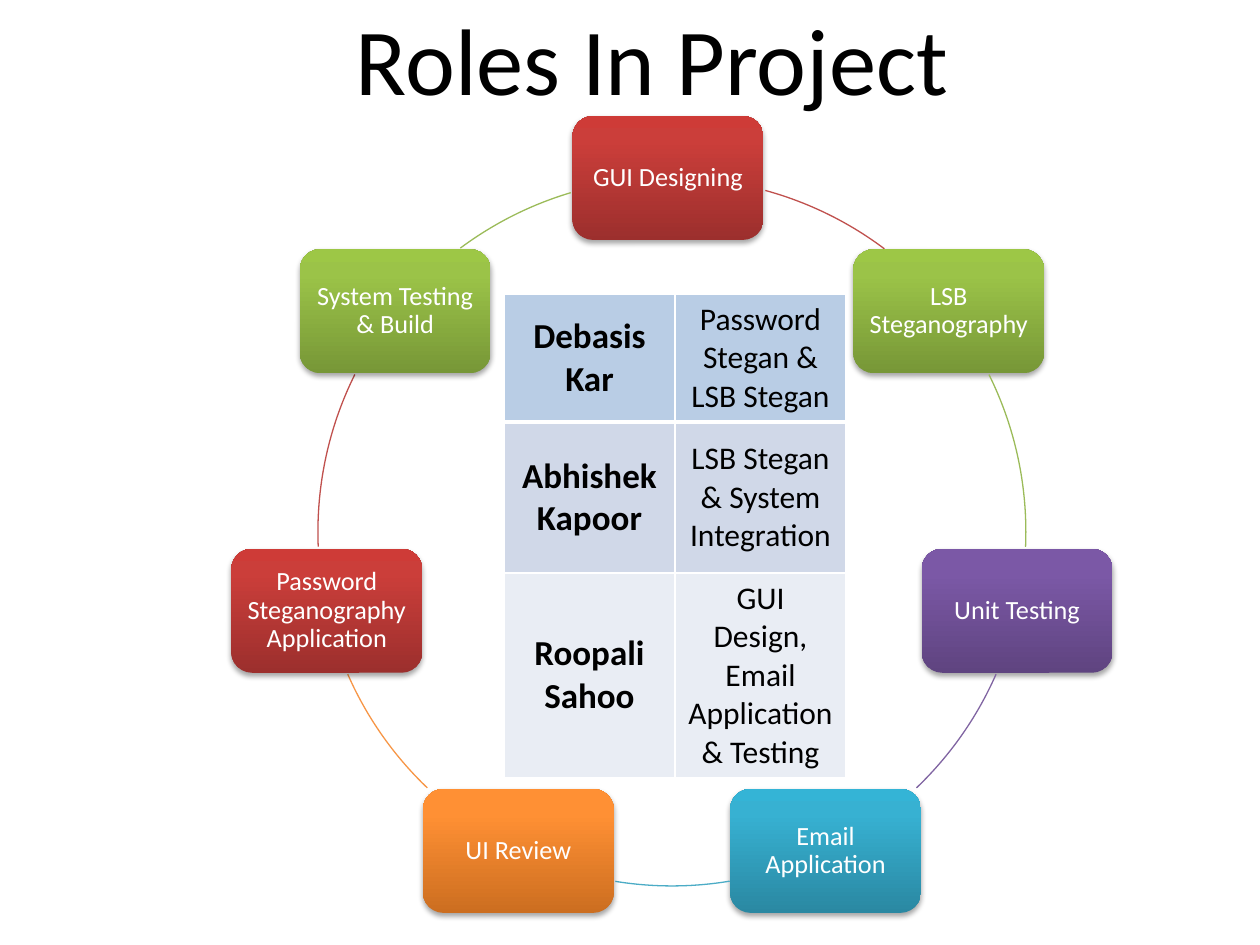
import dataclasses
import copy
import math
import typing

import lxml.etree
import pptx
import pptx.dml.color
import pptx.enum.shapes
import pptx.enum.text
import pptx.oxml
import pptx.oxml.ns
import pptx.util

EMU_PER_PX = 914400 / 126
FONT = "Calibri"
COLORS = {
    "text": "000000",
    "node_text": "FFFFFF",
    "border": "FFFFFF",
    "shadow": "000000",
    "red": "C0504D",
    "green": "9BBB59",
    "purple": "8064A2",
    "blue": "4BACC6",
    "orange": "F79646",
    "header_row": "B9CDE5",
    "dark_row": "D0D8E8",
    "light_row": "E9EDF4",
}
GRADIENTS = {
    "red": ("9C2F2D", "CB3E3A", "CE3B37"),
    "green": ("779737", "9BC348", "9DC746"),
    "purple": ("5F4480", "7B58A6", "7C57A8"),
    "blue": ("2A88A2", "37B1D2", "34B4D6"),
    "orange": ("CC6E20", "FF9034", "FF9136"),
}
GRADIENT_POSITIONS = (0, 0.8, 1)
CENTER_X, CENTER_Y, RADIUS = 672, 532, 354
NODE_WIDTH, NODE_HEIGHT = 191, 124
MIDDLE = pptx.enum.text.MSO_ANCHOR.MIDDLE
CENTERED = pptx.enum.text.PP_ALIGN.CENTER


@dataclasses.dataclass
class Role:
    label: str
    color: str
    arc_start: float
    arc_end: float
    shift_x: int = 0


@dataclasses.dataclass
class Member:
    name: str
    duties: str
    color: str
    height: int


ROLES = [
    Role("GUI Designing", "red", 285.3, 306.9, -4),
    Role("LSB Steganography", "green", 333.6, 2.4),
    Role("Unit Testing", "purple", 23.7, 46.3),
    Role("Email Application", "blue", 80.6, 99.2),
    Role("UI Review", "orange", 133.7, 156.3),
    Role("Password Steganography Application", "red", 177.6, 206.4),
    Role("System Testing & Build", "green", 233.3, 253.4),
]
MEMBERS = [
    Member("Debasis Kar", "Password Stegan &\nLSB Stegan", "header_row", 95),
    Member("Abhishek Kapoor", "LSB Stegan & System Integration", "dark_row", 151),
    Member("Roopali Sahoo", "GUI Design, Email Application & Testing", "light_row", 176),
]


def px(value: float) -> int:
    return round(value * EMU_PER_PX)


def rgb(value: str) -> pptx.dml.color.RGBColor:
    return pptx.dml.color.RGBColor.from_string(value)


def set_attributes(target: typing.Any, values: dict) -> None:
    for name, value in values.items():
        setattr(target, name, value)


def format_text(text_frame, size: int, color: str, bold: bool = False, line_spacing: float = 1.0) -> None:
    for paragraph in text_frame.paragraphs:
        set_attributes(paragraph, {"alignment": CENTERED, "line_spacing": line_spacing})
        set_attributes(paragraph.font, {"name": FONT, "size": pptx.util.Pt(size), "bold": bold})
        paragraph.font.color.rgb = rgb(COLORS[color])


def fill_gradient(shape, colors: tuple) -> None:
    shape.fill.gradient()
    shape.fill.gradient_angle = 90
    stop_list = shape._element.spPr.find(".//" + pptx.oxml.ns.qn("a:gsLst"))
    stop_list.append(copy.deepcopy(stop_list[-1]))
    for stop, position, color in zip(shape.fill.gradient_stops, GRADIENT_POSITIONS, colors):
        stop.position = position
        stop.color.rgb = rgb(color)


def add_shadow(shape) -> None:
    shape.shadow.inherit = False
    effects = shape._element.spPr.find(pptx.oxml.ns.qn("a:effectLst"))
    effects.append(pptx.oxml.parse_xml(
        f'<a:outerShdw {pptx.oxml.ns.nsdecls("a")} blurRad="40000" dist="23000" dir="5400000" rotWithShape="0">'
        f'<a:srgbClr val="{COLORS["shadow"]}"><a:alpha val="35000"/></a:srgbClr></a:outerShdw>'
    ))


def add_arc(slide, role: Role) -> None:
    arc = slide.shapes.add_shape(
        pptx.enum.shapes.MSO_SHAPE.ARC,
        px(CENTER_X - RADIUS), px(CENTER_Y - RADIUS), px(2 * RADIUS), px(2 * RADIUS),
    )
    arc.adjustments[0] = role.arc_start * 0.6
    arc.adjustments[1] = role.arc_end * 0.6
    arc.shadow.inherit = False
    arc.fill.background()
    arc.line.color.rgb = rgb(COLORS[role.color])
    arc.line.width = pptx.util.Pt(0.75)


def add_node(slide, role: Role, angle: float) -> None:
    left = CENTER_X + RADIUS * math.sin(angle) - NODE_WIDTH / 2 + role.shift_x
    top = CENTER_Y - RADIUS * math.cos(angle) - NODE_HEIGHT / 2
    node = slide.shapes.add_shape(
        pptx.enum.shapes.MSO_SHAPE.ROUNDED_RECTANGLE,
        px(left), px(top), px(NODE_WIDTH), px(NODE_HEIGHT),
    )
    fill_gradient(node, GRADIENTS[role.color])
    node.line.fill.background()
    add_shadow(node)
    margins = {f"margin_{side}": px(8) for side in ("left", "top", "right", "bottom")}
    set_attributes(node.text_frame, {
        "text": role.label, "word_wrap": True, "vertical_anchor": MIDDLE, **margins,
    })
    format_text(node.text_frame, 15, "node_text", line_spacing=0.9)


def add_borders(cell, widths: dict) -> None:
    properties = cell._tc.get_or_add_tcPr()
    for tag, width in widths.items():
        border = lxml.etree.SubElement(
            properties, pptx.oxml.ns.qn(f"a:{tag}"), w=str(pptx.util.Pt(width))
        )
        fill = lxml.etree.SubElement(border, pptx.oxml.ns.qn("a:solidFill"))
        lxml.etree.SubElement(fill, pptx.oxml.ns.qn("a:srgbClr"), val=COLORS["border"])


def add_member_table(slide, members: list[Member]) -> None:
    height = sum(member.height for member in members)
    table = slide.shapes.add_table(len(members), 2, px(504), px(294), px(342), px(height)).table
    for row_index, member in enumerate(members):
        table.rows[row_index].height = px(member.height)
        widths = {
            "lnL": 1, "lnR": 1,
            "lnT": 3 if row_index == 1 else 1,
            "lnB": 3 if row_index == 0 else 1,
        }
        for column_index, (text, size) in enumerate(((member.name, 20), (member.duties, 18))):
            cell = table.cell(row_index, column_index)
            set_attributes(cell, {"text": text, "vertical_anchor": MIDDLE})
            format_text(cell.text_frame, size, "text", bold=column_index == 0)
            add_borders(cell, widths)
            cell.fill.solid()
            cell.fill.fore_color.rgb = rgb(COLORS[member.color])


def format_title(slide) -> None:
    title = slide.shapes.title
    set_attributes(title, {"left": px(53), "top": px(21), "width": px(1134), "height": px(73)})
    set_attributes(title.text_frame, {
        "text": "Roles In Project",
        "margin_left": px(77),
        "vertical_anchor": MIDDLE,
        "auto_size": pptx.enum.text.MSO_AUTO_SIZE.NONE,
    })
    format_text(title.text_frame, 54, "text")


def main() -> None:
    presentation = pptx.Presentation()
    set_attributes(presentation, {"slide_width": px(1260), "slide_height": px(945)})
    slide = presentation.slides.add_slide(presentation.slide_layouts[5])
    for index, role in enumerate(ROLES):
        add_node(slide, role, index * math.tau / len(ROLES))
        add_arc(slide, role)
    format_title(slide)
    add_member_table(slide, MEMBERS)
    presentation.save("out.pptx")


if __name__ == "__main__":
    main()
